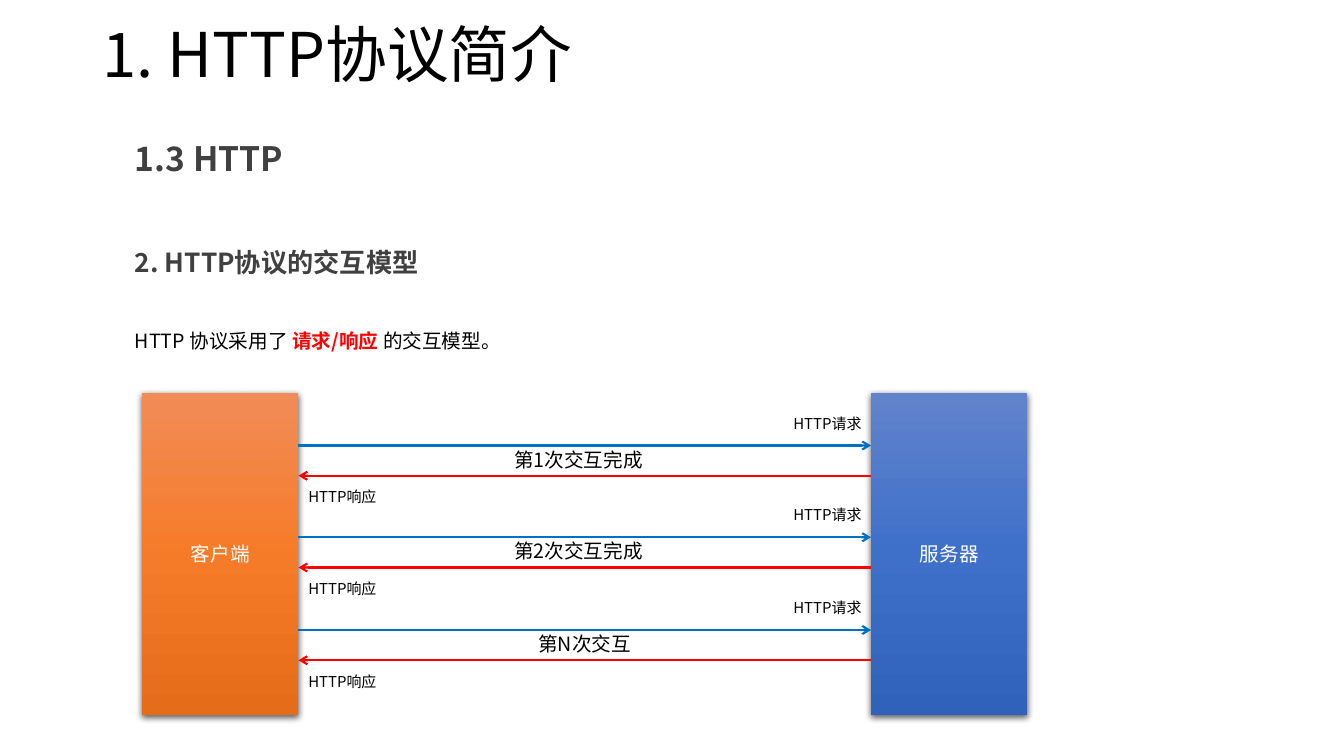
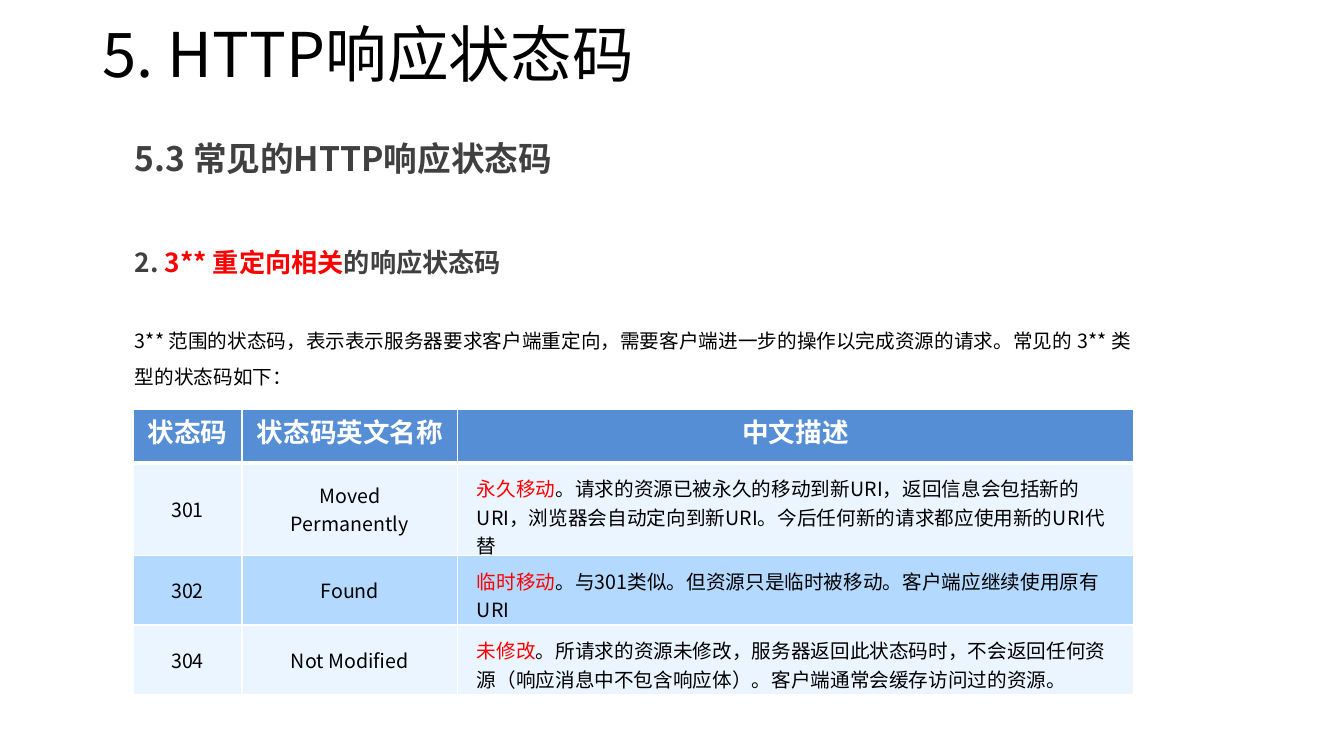
import dataclasses

import lxml.etree
import pptx
import pptx.dml.color
import pptx.enum.shapes
import pptx.enum.text
import pptx.oxml
import pptx.oxml.ns
import pptx.util

PX = 9144  # 100 px to the inch
ALIGN = pptx.enum.text.PP_ALIGN
MIDDLE = pptx.enum.text.MSO_ANCHOR.MIDDLE
qn = pptx.oxml.ns.qn


@dataclasses.dataclass(frozen=True)
class Theme:
    font: str = "Noto Sans CJK SC"
    black: str = "000000"
    white: str = "FFFFFF"
    gray: str = "404040"
    red: str = "FF0000"
    blue: str = "0070C0"
    head: str = "558ED5"
    bands: tuple = ("EBF5FF", "B3D9FF")
    orange_fade: tuple = ("F18C57", "F67B28", "E56C19")
    blue_fade: tuple = ("6183CB", "3E70CA", "3062BB")
    title: float = 44
    section: float = 24
    topic: float = 18.7
    column: float = 19
    body: float = 14
    small: float = 10.7


THEME = Theme()


def px(*sizes):
    return [pptx.util.Emu(size * PX) for size in sizes]


def rgb(color):
    return pptx.dml.color.RGBColor.from_string(color)


def add_xml(parent, tag, **attrs):
    return lxml.etree.SubElement(parent, qn(tag), attrs)


def write(frame, text, size, color=THEME.black, bold=False, align=ALIGN.LEFT,
          leading=None, loud=False):
    """Fill a frame; text between bars is red, and bold too when loud."""
    frame.word_wrap = True
    para = frame.paragraphs[0]
    para.alignment = align
    if leading:
        para.line_spacing = leading
    font = para.font
    font.name = THEME.font
    font.size = pptx.util.Pt(size)
    font.bold = bold
    font.color.rgb = rgb(color)
    add_xml(para._p.pPr.find(qn("a:defRPr")), "a:ea", typeface=THEME.font)
    for index, part in enumerate(text.split("|")):
        if not part:
            continue
        run = para.add_run()
        run.text = part
        if index % 2:
            run.font.color.rgb = rgb(THEME.red)
            if loud:
                run.font.bold = True


def add_text(slide, box, text, size, **style):
    frame = slide.shapes.add_textbox(*px(*box)).text_frame
    write(frame, text, size, **style)
    return frame


def add_heads(slide, title, section, topic, intro):
    frame = add_text(slide, (92, 0, 982, 115), title, THEME.title, leading=0.9)
    frame.vertical_anchor = MIDDLE
    bold = dict(color=THEME.gray, bold=True, leading=0.9)
    add_text(slide, (124, 136, 950, 79), section, THEME.section, **bold)
    add_text(slide, (124, 243, 946, 38), topic, THEME.topic, **bold)
    add_text(slide, (124, 310, 1016, 79), intro, THEME.body,
             leading=1.5, loud=True)


def add_host(slide, left, name, fade):
    """Draw one end of the exchange as a shaded block with a soft shadow."""
    kind = pptx.enum.shapes.MSO_SHAPE.RECTANGLE
    host = slide.shapes.add_shape(kind, *px(left, 390, 155, 319))
    host.line.fill.background()
    host.fill.gradient()
    host.fill.gradient_angle = 270
    props = host._element.spPr
    stops = props.find(".//" + qn("a:gsLst"))
    for stop in list(stops):
        stops.remove(stop)
    for index, color in enumerate(fade):
        stop = add_xml(stops, "a:gs", pos=str(index * 50000))
        add_xml(stop, "a:srgbClr", val=color)
    shadow = add_xml(add_xml(props, "a:effectLst"), "a:outerShdw",
                     blurRad="57150", dist="19050", dir="5400000",
                     algn="ctr", rotWithShape="0")
    shade = add_xml(shadow, "a:srgbClr", val=THEME.black)
    add_xml(shade, "a:alpha", val="63000")
    host.text_frame.vertical_anchor = MIDDLE
    write(host.text_frame, name, THEME.body, THEME.white, align=ALIGN.CENTER)


def add_arrow(slide, start, end, top, color):
    kind = pptx.enum.shapes.MSO_CONNECTOR.STRAIGHT
    arrow = slide.shapes.add_connector(kind, *px(start, top, end, top))
    arrow.line.color.rgb = rgb(color)
    arrow.line.width = pptx.util.Pt(1.5)
    add_xml(arrow.line._get_or_add_ln(), "a:tailEnd", type="arrow")
    add_xml(arrow._element.spPr, "a:effectLst")


def add_round(slide, top, text, left, width):
    """Draw one request, its response and their labels."""
    near, far = 296, 864
    add_text(slide, (left, top - 3, width, 34), text, THEME.body)
    add_arrow(slide, near, far, top, THEME.blue)
    add_text(slide, (777, top - 36, 95, 28), "HTTP请求", THEME.small)
    add_arrow(slide, far, near, top + 30, THEME.red)
    add_text(slide, (near, top + 37, 100, 28), "HTTP响应", THEME.small)


def set_cell(cell, fill, pad, rules):
    """Set fill, insets (side, top) and rule widths (top, bottom) of a cell."""
    side, edge = px(*pad)
    cell.margin_left = cell.margin_right = side
    cell.margin_top = cell.margin_bottom = edge
    props = cell._tc.get_or_add_tcPr()
    for tag, width in zip("LRTB", (1, 1, *rules)):
        line = add_xml(props, "a:ln" + tag, w=str(pptx.util.Pt(width)))
        add_xml(add_xml(line, "a:solidFill"), "a:srgbClr", val=THEME.white)
    cell.fill.solid()
    cell.fill.fore_color.rgb = rgb(fill)


def add_grid(slide, box, widths, heights, rows):
    shape = slide.shapes.add_table(len(rows), len(widths), *px(*box))
    table = shape.table
    table.first_row = table.horz_banding = False
    for column, width in zip(table.columns, px(*widths)):
        column.width = width
    for row, height in zip(table.rows, px(*heights)):
        row.height = height
    for r, texts in enumerate(rows):
        for c, text in enumerate(texts):
            cell = table.cell(r, c)
            if r == 0:
                set_cell(cell, THEME.head, (13, 7), (1, 3))
                write(cell.text_frame, text, THEME.column, THEME.white, True,
                      ALIGN.CENTER, pptx.util.Pt(24))
                continue
            set_cell(cell, THEME.bands[(r - 1) % 2], (19, 11),
                     (3 if r == 1 else 1, 1))
            cell.vertical_anchor = MIDDLE
            write(cell.text_frame, text, THEME.body,
                  align=ALIGN.LEFT if c == 2 else ALIGN.CENTER)


def draw_model(slide):
    add_heads(slide, "1. HTTP协议简介", "1.3 HTTP", "2. HTTP协议的交互模型",
              "HTTP 协议采用了 |请求/响应 |的交互模型。")
    add_host(slide, 141, "客户端", THEME.orange_fade)
    add_host(slide, 864, "服务器", THEME.blue_fade)
    add_round(slide, 442, "第1次交互完成", 500, 194)
    add_round(slide, 533, "第2次交互完成", 500, 194)
    add_round(slide, 625, "第N次交互", 524, 155)


def draw_codes(slide):
    add_heads(slide, "5. HTTP响应状态码", "5.3 常见的HTTP响应状态码",
              "2. |3** 重定向相关|的响应状态码",
              "3** 范围的状态码，表示表示服务器要求客户端重定向，需要客户端进一步的操作"
              "以完成资源的请求。常见的 3** 类型的状态码如下：")
    rows = [
        ("状态码", "状态码英文名称", "中文描述"),
        ("301", "Moved Permanently",
         "|永久移动|。请求的资源已被永久的移动到新URI，返回信息会包括新的URI，"
         "浏览器会自动定向到新URI。今后任何新的请求都应使用新的URI代替"),
        ("302", "Found",
         "|临时移动|。与301类似。但资源只是临时被移动。客户端应继续使用原有URI"),
        ("304", "Not Modified",
         "|未修改|。所请求的资源未修改，服务器返回此状态码时，不会返回任何资源"
         "（响应消息中不包含响应体）。客户端通常会缓存访问过的资源。"),
    ]
    add_grid(slide, (132, 406, 992, 260), (108, 214, 670),
             (53, 69, 69, 69), rows)


def main():
    deck = pptx.Presentation()
    deck.slide_width, deck.slide_height = px(1333, 750)
    for draw in (draw_model, draw_codes):
        draw(deck.slides.add_slide(deck.slide_layouts[6]))
    deck.save("out.pptx")


if __name__ == "__main__":
    main()
